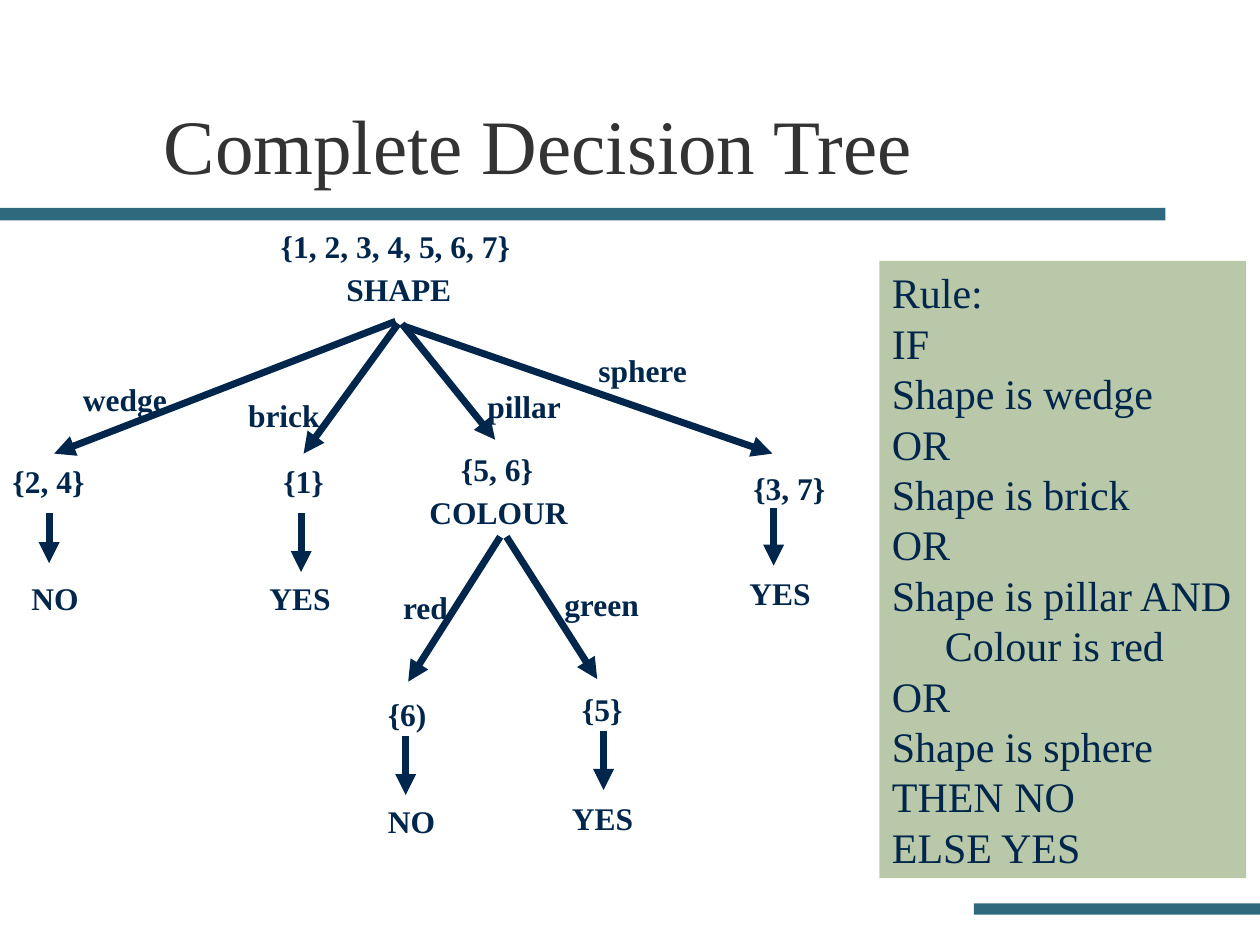
from dataclasses import dataclass

from lxml import etree
from pptx import Presentation
from pptx.dml.color import RGBColor
from pptx.enum.shapes import MSO_CONNECTOR, MSO_SHAPE
from pptx.enum.text import MSO_ANCHOR, MSO_AUTO_SIZE, PP_ALIGN
from pptx.oxml.ns import qn
from pptx.util import Inches, Pt

RECTANGLE = MSO_SHAPE.RECTANGLE
STRAIGHT = MSO_CONNECTOR.STRAIGHT
LEFT = PP_ALIGN.LEFT
TOP, BOTTOM = MSO_ANCHOR.TOP, MSO_ANCHOR.BOTTOM
NO_AUTOFIT, FIT_SHAPE = MSO_AUTO_SIZE.NONE, MSO_AUTO_SIZE.SHAPE_TO_FIT_TEXT


@dataclass(frozen=True)
class Theme:
    font: str = "Times New Roman"
    title: RGBColor = RGBColor(0x33, 0x33, 0x33)
    ink: RGBColor = RGBColor(0x00, 0x26, 0x4C)
    bar: RGBColor = RGBColor(0x2E, 0x69, 0x7E)
    panel: RGBColor = RGBColor(0xBA, 0xC8, 0xAA)
    title_size: int = 44
    label_size: int = 18
    rule_size: int = 24
    arrow_width: int = 4


THEME = Theme()


def write_text(frame, lines, size, color=THEME.ink, bold=False, spacing=1.0,
               anchor=TOP, wrap=False, fit=FIT_SHAPE):
    """Fill a frame with (text, left indent in inches) lines."""
    frame.word_wrap = wrap
    frame.auto_size = fit
    frame.vertical_anchor = anchor
    for number, (text, indent) in enumerate(lines):
        para = frame.paragraphs[0] if number == 0 else frame.add_paragraph()
        para.alignment = LEFT
        para.line_spacing = spacing
        if indent:
            para._p.get_or_add_pPr().set("marL", str(Inches(indent)))
        span = para.add_run()
        span.text = text
        span.font.name = THEME.font
        span.font.size = Pt(size)
        span.font.bold = bold
        span.font.color.rgb = color


def add_block(page, left, top, width, height, color):
    block = page.shapes.add_shape(RECTANGLE, Inches(left), Inches(top),
                                  Inches(width), Inches(height))
    block.shadow.inherit = False
    block.fill.solid()
    block.fill.fore_color.rgb = color
    block.line.fill.background()
    return block


deck = Presentation()
deck.slide_width, deck.slide_height = Inches(10), Inches(7.5)
page = deck.slides.add_slide(deck.slide_layouts[5])  # Title Only

# Decorative bars
add_block(page, 0, 1.65, 9.25, 0.1, THEME.bar)
add_block(page, 7.73, 7.17, 2.27, 0.09, THEME.bar)

# Title
title = page.shapes.title
title.left, title.top = Inches(1.2), Inches(0.31)
title.width, title.height = Inches(8.5), Inches(1.25)
write_text(title.text_frame, [("Complete Decision Tree", 0)], THEME.title_size,
           color=THEME.title, anchor=BOTTOM, wrap=True, fit=NO_AUTOFIT)

# Arrows: start x, start y, end x, end y
branches = [
    (3.14, 2.55, 0.43, 3.6),
    (3.16, 2.57, 2.41, 3.6),
    (3.19, 2.57, 3.93, 3.49),
    (3.21, 2.59, 6.13, 3.6),
    (3.97, 4.26, 3.24, 5.41),
    (4.02, 4.26, 4.74, 5.39),
]
# Vertical arrows from a leaf set to its class: x, start y, end y
leaf_drops = [
    (0.39, 4.07, 4.47),
    (2.39, 4.07, 4.54),
    (6.14, 4.03, 4.49),
    (3.22, 5.84, 6.31),
    (4.79, 5.8, 6.27),
]
for x1, y1, x2, y2 in branches + [(x, y1, x, y2) for x, y1, y2 in leaf_drops]:
    arrow = page.shapes.add_connector(STRAIGHT, Inches(x1), Inches(y1),
                                      Inches(x2), Inches(y2))
    arrow.line.color.rgb = THEME.ink
    arrow.line.width = Pt(THEME.arrow_width)
    etree.SubElement(arrow.line._get_or_add_ln(), qn("a:tailEnd"), type="triangle")
    etree.SubElement(arrow._element.spPr, qn("a:effectLst"))

# Tree labels: text, left, top, width
LABEL_HEIGHT = 0.37
LABEL_SLACK = 0.02  # keeps a tight label on one line
labels = [
    # Nodes
    ("{1, 2, 3, 4, 5, 6, 7}", 2.13, 1.79, 2.02),
    ("SHAPE", 2.65, 2.13, 1.03),
    ("{5, 6}", 3.56, 3.56, 0.77),
    ("COLOUR", 3.31, 3.9, 1.3),
    # Branch values
    ("wedge", 0.56, 3, 0.86),
    ("brick", 1.87, 3.13, 0.77),
    ("pillar", 3.77, 3.06, 0.78),
    ("sphere", 4.65, 2.77, 0.91),
    ("red", 3.1, 4.65, 0.56),
    ("green", 4.38, 4.63, 0.8),
    # Leaf sets and their classes
    ("{2, 4}", 0, 3.65, 0.77),
    ("NO", 0.15, 4.58, 0.57),
    ("{1}", 2.15, 3.65, 0.52),
    ("YES", 2.04, 4.58, 0.68),
    ("{3, 7}", 5.88, 3.71, 0.77),
    ("YES", 5.85, 4.54, 0.68),
    ("{6)", 2.98, 5.5, 0.51),
    ("NO", 2.98, 6.35, 0.57),
    ("{5}", 4.52, 5.46, 0.52),
    ("YES", 4.44, 6.33, 0.68),
]
for text, left, top, width in labels:
    box = page.shapes.add_textbox(Inches(left), Inches(top),
                                  Inches(width + LABEL_SLACK), Inches(LABEL_HEIGHT))
    write_text(box.text_frame, [(text, 0)], THEME.label_size, bold=True, spacing=0.9)

# Rule panel
rule_lines = [
    ("Rule:", 0),
    ("IF", 0),
    ("Shape is wedge", 0),
    ("OR", 0),
    ("Shape is brick", 0),
    ("OR", 0),
    ("Shape is pillar AND", 0),
    ("Colour is red", 0.42),
    ("OR", 0),
    ("Shape is sphere", 0),
    ("THEN NO", 0),
    ("ELSE YES", 0),
]
rule_panel = add_block(page, 6.98, 2.07, 2.91, 4.9, THEME.panel)
write_text(rule_panel.text_frame, rule_lines, THEME.rule_size)

deck.save("out.pptx")
